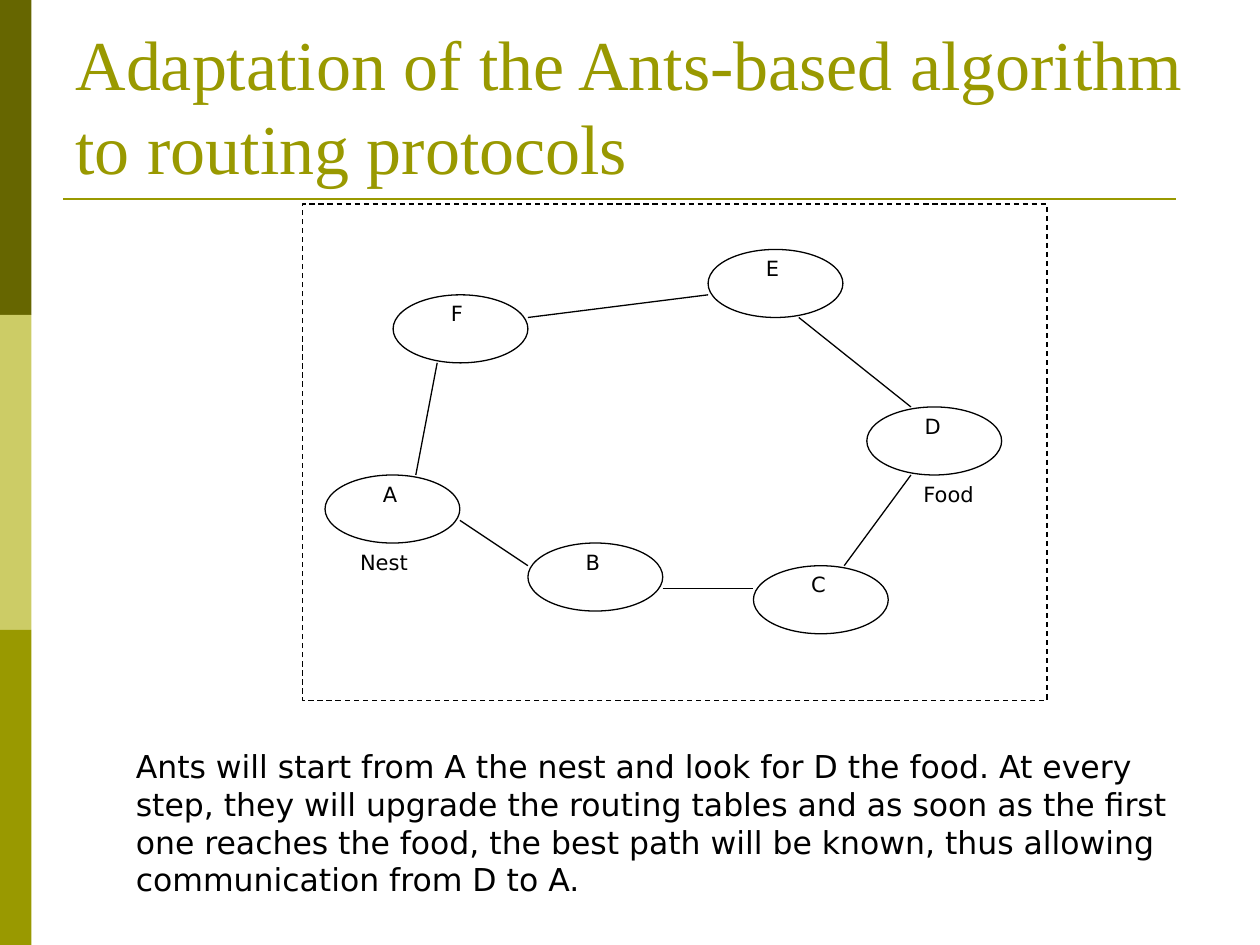
from dataclasses import dataclass

import pptx
import pptx.dml.color
import pptx.enum.dml
import pptx.enum.shapes
import pptx.enum.text
import pptx.oxml
import pptx.oxml.ns
import pptx.shapes.autoshape
import pptx.shapes.connector
import pptx.text.text
import pptx.util

Inches = pptx.util.Inches
Shape = pptx.enum.shapes.MSO_SHAPE


@dataclass(frozen=True)
class Theme:
    dark: str = "666600"
    pale: str = "CCCC66"
    olive: str = "999900"
    ink: str = "000000"
    paper: str = "FFFFFF"
    title_font: str = "Times New Roman"
    body_font: str = "DejaVu Sans"
    title_size: float = 40
    body_size: float = 18
    label_size: float = 12
    thin: float = 0.75
    rule: float = 1.5


@dataclass(frozen=True)
class Node:
    name: str
    left: float
    top: float


@dataclass(frozen=True)
class Link:
    start: tuple[float, float]
    end: tuple[float, float]


@dataclass(frozen=True)
class Label:
    text: str
    left: float
    top: float
    width: float
    height: float


THEME = Theme()
NODE_WIDTH, NODE_HEIGHT, LETTER = 1.07, 0.54, 0.36
BAND_WIDTH, BAND_HEIGHT = 0.25, 2.5

NODES = [
    Node("F", 3.12, 2.34),
    Node("E", 5.62, 1.98),
    Node("D", 6.88, 3.23),
    Node("B", 4.19, 4.31),
    Node("A", 2.58, 3.77),
    Node("C", 5.98, 4.49),
]
LINKS = [
    Link((4.19, 2.52), (5.62, 2.34)),
    Link((3.47, 2.88), (3.3, 3.77)),
    Link((6.34, 2.52), (7.23, 3.23)),
    Link((3.65, 4.13), (4.19, 4.49)),
    Link((6.7, 4.49), (7.23, 3.77)),
    Link((5.26, 4.67), (5.98, 4.67)),
]
PLACES = [
    Label("Nest", 2.76, 4.31, 1.07, 0.42),
    Label("Food", 7.23, 3.77, 0.89, 0.54),
]
SUMMARY = Label(
    "Ants will start from A the nest and look for D the food. At every step, "
    "they will upgrade the routing tables and as soon as the first one reaches "
    "the food, the best path will be known, thus allowing communication from D to A.",
    0.98, 5.88, 8.43, 1.3,
)


def color(code: str) -> pptx.dml.color.RGBColor:
    return pptx.dml.color.RGBColor.from_string(code)


def style_text(para: pptx.text.text._Paragraph, font: str, size: float, code: str) -> None:
    para.font.name = font
    para.font.size = pptx.util.Pt(size)
    para.font.color.rgb = color(code)


def add_outline(
    shapes, kind: Shape, left: float, top: float, width: float, height: float,
    fill: str | None = None, line: str | None = None,
) -> pptx.shapes.autoshape.Shape:
    box = shapes.add_shape(kind, Inches(left), Inches(top), Inches(width), Inches(height))
    box.shadow.inherit = False
    if fill:
        box.fill.solid()
        box.fill.fore_color.rgb = color(fill)
    else:
        box.fill.background()
    if line:
        box.line.color.rgb = color(line)
        box.line.width = pptx.util.Pt(THEME.thin)
    else:
        box.line.fill.background()
    return box


def add_link(shapes, link: Link, code: str, width: float) -> pptx.shapes.connector.Connector:
    line = shapes.add_connector(
        pptx.enum.shapes.MSO_CONNECTOR.STRAIGHT,
        *(Inches(value) for value in link.start + link.end),
    )
    line.line.color.rgb = color(code)
    line.line.width = pptx.util.Pt(width)
    effects = pptx.oxml.parse_xml(f"<a:effectLst {pptx.oxml.ns.nsdecls('a')}/>")
    line._element.spPr.append(effects)
    return line


def add_label(shapes, label: Label, size: float) -> pptx.shapes.autoshape.Shape:
    box = shapes.add_textbox(
        Inches(label.left), Inches(label.top), Inches(label.width), Inches(label.height)
    )
    box.text_frame.word_wrap = True
    para = box.text_frame.paragraphs[0]
    para.text = label.text
    style_text(para, THEME.body_font, size, THEME.ink)
    return box


def add_title(page, text: str) -> None:
    title = page.shapes.title
    title.left, title.top = Inches(0.5), Inches(0.3)
    title.width, title.height = Inches(9), Inches(1.25)
    frame = title.text_frame
    frame.text = text
    frame.word_wrap = True
    frame.auto_size = pptx.enum.text.MSO_AUTO_SIZE.NONE
    frame.vertical_anchor = pptx.enum.text.MSO_ANCHOR.BOTTOM
    para = frame.paragraphs[0]
    para.alignment = pptx.enum.text.PP_ALIGN.LEFT
    style_text(para, THEME.title_font, THEME.title_size, THEME.olive)


def add_network(page) -> None:
    shapes = page.shapes.add_group_shape().shapes
    frame = add_outline(shapes, Shape.RECTANGLE, 2.4, 1.62, 5.91, 3.94, line=THEME.ink)
    frame.line.dash_style = pptx.enum.dml.MSO_LINE.DASH
    for node in NODES:
        add_outline(shapes, Shape.OVAL, node.left, node.top, NODE_WIDTH, NODE_HEIGHT,
                    THEME.paper, THEME.ink)
        letter = Label(node.name, node.left + LETTER, node.top, LETTER, LETTER)
        add_label(shapes, letter, THEME.label_size)
    for link in LINKS:
        add_link(shapes, link, THEME.ink, THEME.thin)
    for place in PLACES:
        add_label(shapes, place, THEME.label_size)


def main() -> None:
    deck = pptx.Presentation()
    deck.slide_width, deck.slide_height = Inches(10), Inches(7.5)
    page = deck.slides.add_slide(deck.slide_layouts[5])
    for index, fill in enumerate((THEME.dark, THEME.pale, THEME.olive)):
        add_outline(page.shapes, Shape.RECTANGLE, 0, index * BAND_HEIGHT,
                    BAND_WIDTH, BAND_HEIGHT, fill)
    add_link(page.shapes, Link((0.5, 1.58), (9.33, 1.58)), THEME.olive, THEME.rule)
    add_title(page, "Adaptation of the Ants-based algorithm to routing protocols")
    add_network(page)
    summary = add_label(page.shapes, SUMMARY, THEME.body_size)
    summary.text_frame.auto_size = pptx.enum.text.MSO_AUTO_SIZE.SHAPE_TO_FIT_TEXT
    summary.text_frame.paragraphs[0].space_before = pptx.util.Pt(11.2)
    deck.save("out.pptx")


if __name__ == "__main__":
    main()
